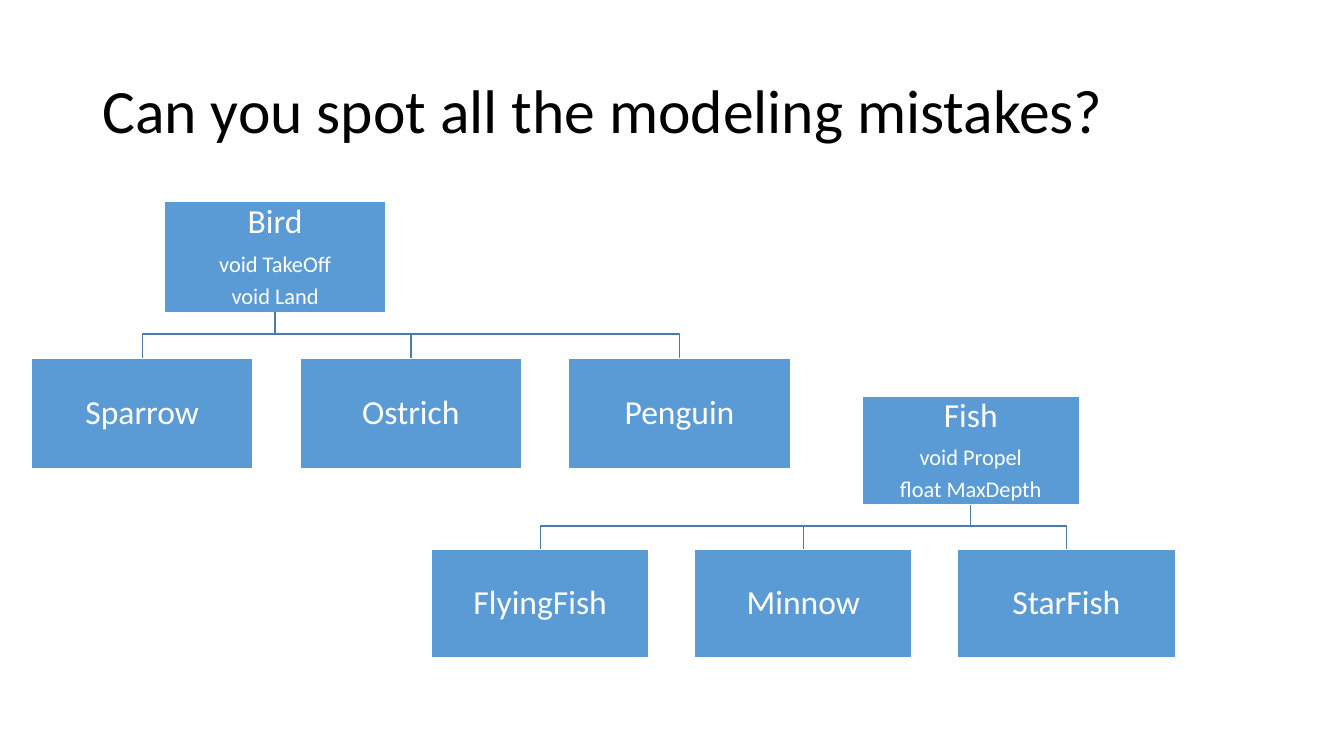
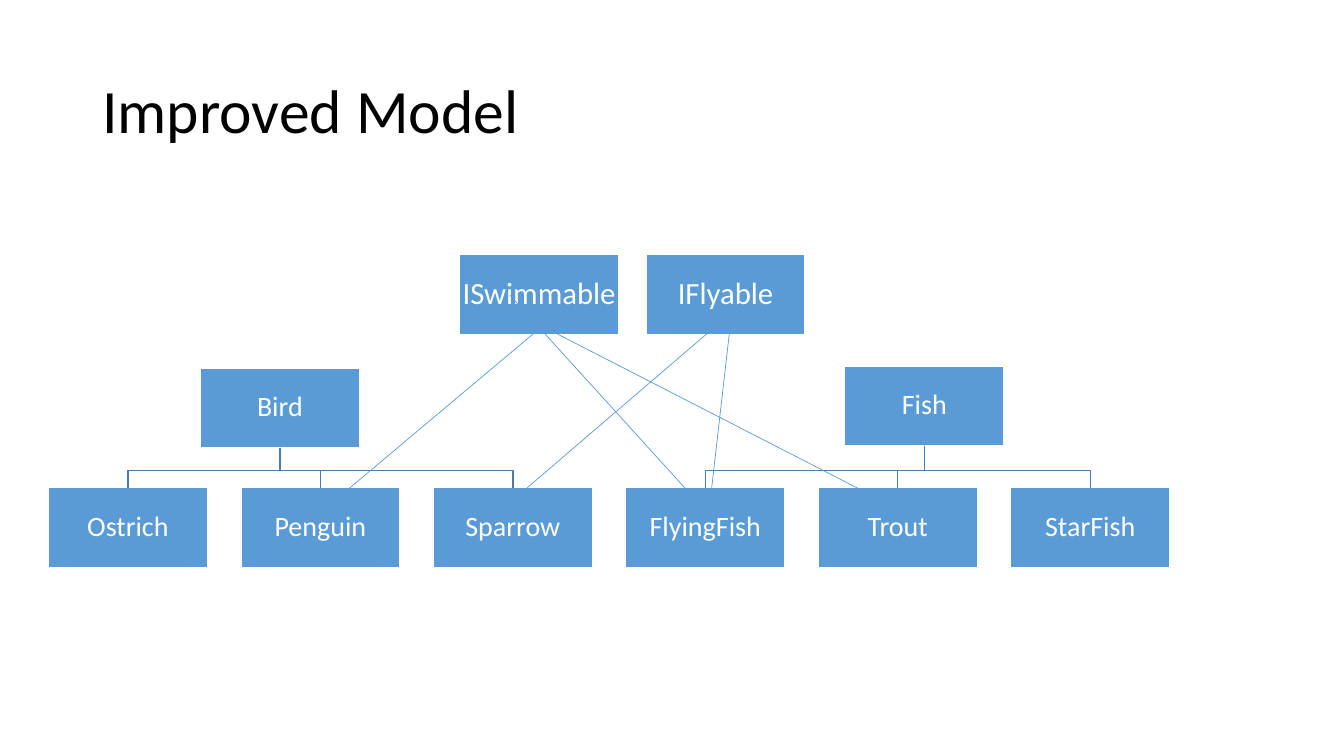
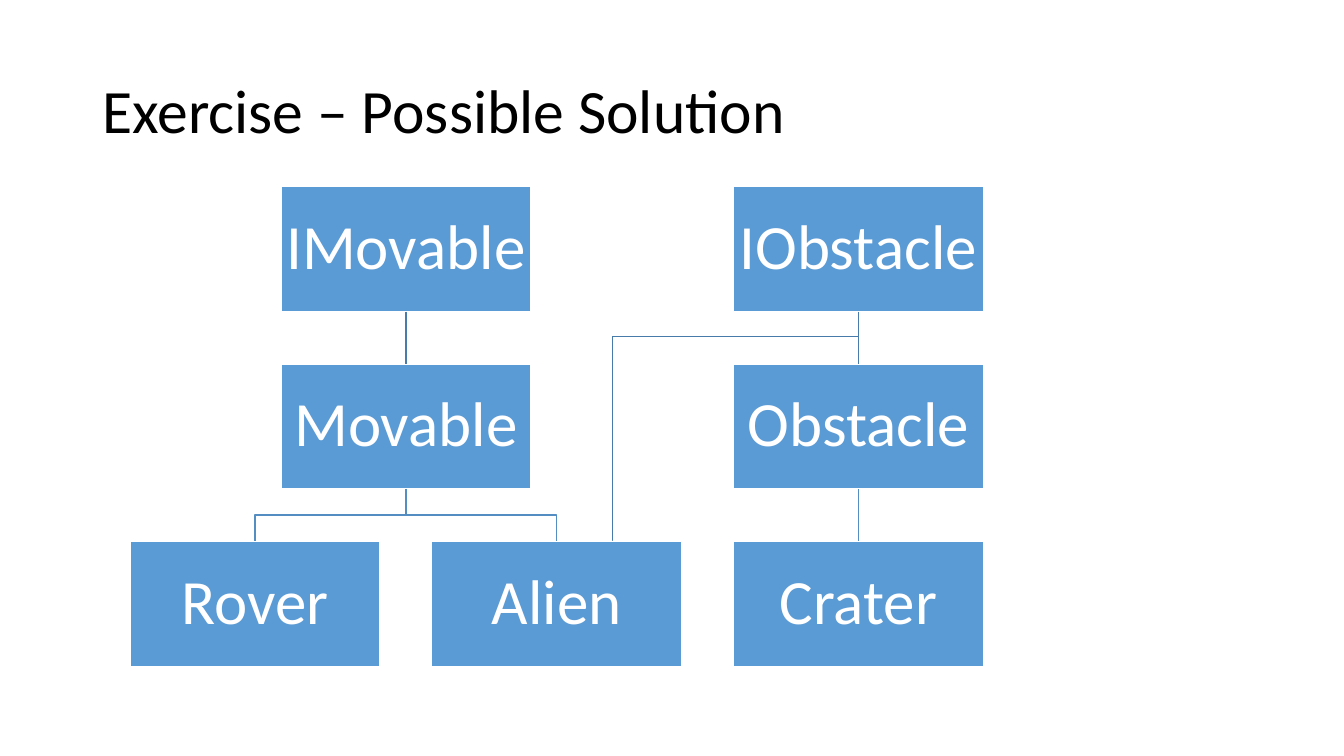
from lxml import etree
from pptx import Presentation
from pptx.dml.color import RGBColor
from pptx.enum.shapes import MSO_CONNECTOR as Link, MSO_SHAPE as Shape
from pptx.enum.text import MSO_ANCHOR as Anchor, PP_ALIGN as Align
from pptx.oxml.ns import qn
from pptx.util import Cm, Pt

FONT = "Calibri"
BLACK, WHITE, BLUE = "000000", "FFFFFF", "5B9BD5"
UPPER, LOWER, ELBOW = "497CAB", "538DC1", "477BA9"

# Content, lengths in cm
# Each group: box size, text size, inset, bar height above the children,
# boxes as (lines, left, top), branches as (parent, children, colour)
BIRDS = dict(
    size=(5.59, 2.79), pt=24, inset=0.05, rise=0.6,
    boxes=[(["Bird", "void TakeOff", "void Land"], 4.14, 5.08)]
    + [([name], 0.79 + 6.77 * i, 9.02)
       for i, name in enumerate(["Sparrow", "Ostrich", "Penguin"])],
    branches=[("Bird", ["Penguin", "Ostrich", "Sparrow"], UPPER)])

FISHES = dict(
    size=(5.49, 2.74), pt=24, inset=0.05, rise=0.58,
    boxes=[(["Fish", "void Propel", "float MaxDepth"], 21.72, 9.98)]
    + [([name], 10.87 + 6.63 * i, 13.84)
       for i, name in enumerate(["FlyingFish", "Minnow", "StarFish"])],
    branches=[("Fish", ["StarFish", "Minnow", "FlyingFish"], UPPER)])

INTERFACES = dict(
    size=(4.01, 2.01), pt=22, inset=0.05, rise=0,
    boxes=[(["ISwimmable"], 11.58, 6.42), (["IFlyable"], 16.28, 6.42)],
    branches=[])

ANIMALS = dict(
    size=(4.01, 2.01), pt=20, inset=0.03, rise=0.43,
    boxes=[(["Bird"], 5.05, 9.27), (["Fish"], 21.29, 9.22)]
    + [([name], 1.22 + 4.85 * i, 12.29)
       for i, name in enumerate(["Ostrich", "Penguin", "Sparrow",
                                 "FlyingFish", "Trout", "StarFish"])],
    branches=[("Fish", ["StarFish", "Trout", "FlyingFish"], UPPER),
              ("Bird", ["Sparrow", "Penguin", "Ostrich"], UPPER)])

IMPLEMENTS = [  # animal to interface lines: x1, y1, x2, y2
    (13.56, 8.31, 8.76, 12.34),
    (17.93, 8.31, 13.23, 12.34),
    (12.85, 7.44, 17.3, 12.34),
    (13.84, 8.31, 21.69, 12.34),
    (18.39, 8.31, 17.93, 12.34),
]

# Solution grid: name, column, row
GRID = [("IMovable", 0.5, 0), ("Movable", 0.5, 1), ("Rover", 0, 2),
        ("Alien", 1, 2), ("IObstacle", 2, 0), ("Obstacle", 2, 1),
        ("Crater", 2, 2)]
SOLUTION = dict(
    size=(6.3, 3.15), pt=45, inset=0.08, rise=0.66,
    boxes=[([name], 3.28 + 7.6 * col, 4.7 + 4.47 * row)
           for name, col, row in GRID],
    branches=[("Obstacle", ["Crater"], LOWER),
              ("IObstacle", ["Obstacle"], UPPER),
              ("Movable", ["Alien", "Rover"], LOWER),
              ("IMovable", ["Movable"], UPPER)])
ALIEN_LINK = (21.62, 8.48, 15.42, 13.61)

SLIDES = [
    ("Can you spot all the modeling mistakes?", [BIRDS, FISHES]),
    ("Improved Model", [INTERFACES, ANIMALS]),
    ("Exercise – Possible Solution", [SOLUTION]),
]


def rgb(value):
    return RGBColor.from_string(value)


def set_line(sp, color, width=1):
    sp.line.color.rgb = rgb(color)
    sp.line.width = Pt(width)


def style(p, size, color):
    p.line_spacing = 0.9
    p.font.name = FONT
    p.font.size = Pt(size)
    p.font.color.rgb = rgb(color)


def add_title(s, text):
    tf = s.shapes.add_textbox(Cm(2.33), Cm(1.02), Cm(29.21), Cm(3.68)).text_frame
    tf.word_wrap = True
    tf.vertical_anchor = Anchor.MIDDLE
    tf.text = text
    style(tf.paragraphs[0], 44, BLACK)


def add_box(s, lines, left, top, group):
    width, height = group["size"]
    sp = s.shapes.add_shape(Shape.RECTANGLE, Cm(left), Cm(top), Cm(width), Cm(height))
    sp.shadow.inherit = False
    sp.fill.solid()
    sp.fill.fore_color.rgb = rgb(BLUE)
    set_line(sp, WHITE)
    tf = sp.text_frame
    tf.word_wrap = True
    tf.vertical_anchor = Anchor.MIDDLE
    inset = Cm(group["inset"])
    tf.margin_left = tf.margin_right = tf.margin_top = tf.margin_bottom = inset
    tf.text = "\n".join(lines)
    for i, p in enumerate(tf.paragraphs):
        size = 16 if i else group["pt"]
        style(p, size, WHITE)
        p.alignment = Align.CENTER
        p.space_after = Pt(round(size * 0.35, 1))
    return sp


def add_link(s, kind, ends, color, width=1):
    link = s.shapes.add_connector(kind, *[Cm(v) for v in ends])
    set_line(link, color, width)
    etree.SubElement(link._element.spPr, qn("a:effectLst"))
    return link


def add_branch(s, parent, child, rise, color):
    x1, y1 = parent.left + parent.width // 2, parent.top + parent.height
    x2, y2 = child.left + child.width // 2, child.top
    if x1 == x2:
        link = add_link(s, Link.STRAIGHT, (0, 0, 0, 0), color)
        link.begin_connect(parent, 2)
        link.end_connect(child, 0)
        return
    bar = y2 - Cm(rise)
    path_builder = s.shapes.build_freeform(x1, y1)
    path_builder.add_line_segments([(x1, bar), (x2, bar), (x2, y2)], close=False)
    sp = path_builder.convert_to_shape()
    sp.shadow.inherit = False
    sp.fill.background()
    set_line(sp, color)


def add_group(s, group):
    boxes = {lines[0]: add_box(s, lines, left, top, group)
             for lines, left, top in group["boxes"]}
    for parent, children, color in group["branches"]:
        for child in children:
            add_branch(s, boxes[parent], boxes[child], group["rise"], color)


def main():
    prs = Presentation()
    prs.slide_width, prs.slide_height = Cm(33.87), Cm(19.05)
    for title, groups in SLIDES:
        s = prs.slides.add_slide(prs.slide_layouts[6])
        add_title(s, title)
        for group in groups:
            add_group(s, group)

    # Interface lines on the improved model
    for ends in IMPLEMENTS:
        add_link(prs.slides[1], Link.STRAIGHT, ends, BLUE, 0.5)

    # Elbow to Alien, turning down at its far end
    elbow = add_link(prs.slides[2], Link.ELBOW, ALIEN_LINK, ELBOW)
    guides = elbow._element.spPr.find(qn("a:prstGeom")).get_or_add_avLst()
    etree.SubElement(guides, qn("a:gd"), name="adj1", fmla="val 99800")

    prs.save("out.pptx")


if __name__ == "__main__":
    main()
